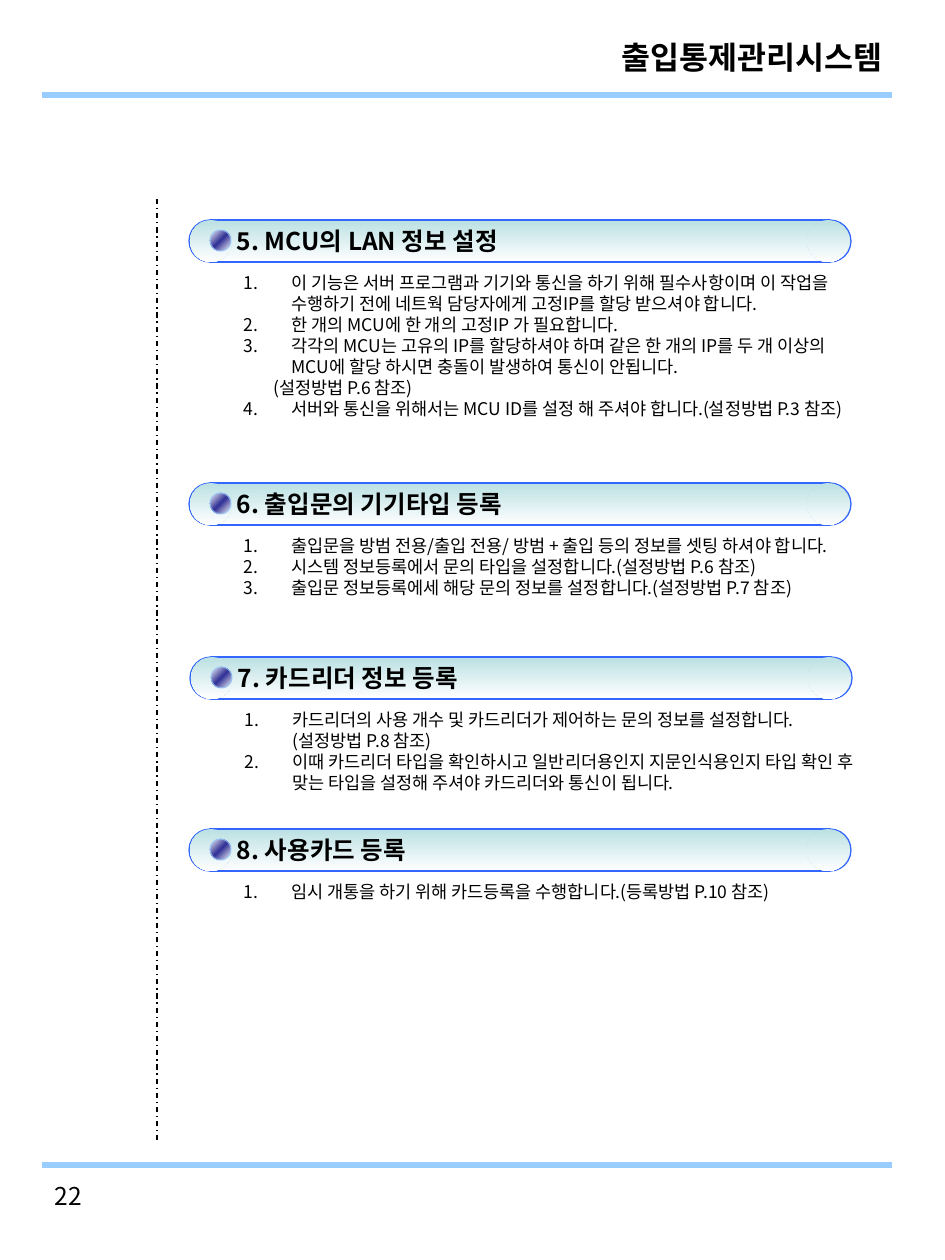
from lxml.etree import SubElement
from pptx import Presentation
from pptx.dml.color import RGBColor
from pptx.enum.dml import MSO_LINE
from pptx.enum.shapes import MSO_CONNECTOR, MSO_SHAPE
from pptx.enum.text import MSO_ANCHOR, MSO_AUTO_SIZE, PP_ALIGN
from pptx.oxml.ns import qn
from pptx.util import Pt

FONT = "Noto Sans CJK KR"
HEX = {
    "text": "000000", "rule": "99CCFF", "edge": "3366FF",
    "teal": "BBE0E3", "white": "FFFFFF", "navy": "333399",
}
INDENT = 48
NOTE = 30  # indent of a line without a number

# Each section: left, top, heading, items as (number or None, text)
PARTS = [
    (189, 220, "5. MCU의 LAN 정보 설정", [
        (1, "이 기능은 서버 프로그램과 기기와 통신을 하기 위해 필수사항이며 이 작업을 "
            "수행하기 전에 네트웍 담당자에게 고정IP를 할당 받으셔야 합니다."),
        (2, "한 개의 MCU에 한 개의 고정IP 가 필요합니다."),
        (3, "각각의 MCU는 고유의 IP를 할당하셔야 하며 같은 한 개의 IP를 두 개 "
            "이상의 MCU에 할당 하시면 충돌이 발생하여 통신이 안됩니다."),
        (None, "(설정방법 P.6 참조)"),
        (4, "서버와 통신을 위해서는 MCU ID를 설정 해 주셔야 합니다.(설정방법 P.3 참조)"),
    ]),
    (189, 483, "6. 출입문의 기기타입 등록", [
        (1, "출입문을 방범 전용/출입 전용/ 방범 + 출입 등의 정보를 셋팅 하셔야 합니다."),
        (2, "시스템 정보등록에서 문의 타입을 설정합니다.(설정방법 P.6 참조)"),
        (3, "출입문 정보등록에세 해당 문의 정보를 설정합니다.(설정방법 P.7 참조)"),
    ]),
    (190, 657, "7. 카드리더 정보 등록", [
        (1, "카드리더의 사용 개수 및 카드리더가 제어하는 문의 정보를 설정합니다."
            "(설정방법 P.8 참조)"),
        (2, "이때 카드리더 타입을 확인하시고 일반리더용인지 지문인식용인지 타입 확인 후 "
            "맞는 타입을 설정해 주셔야 카드리더와 통신이 됩니다."),
    ]),
    (189, 829, "8. 사용카드 등록", [
        (1, "임시 개통을 하기 위해 카드등록을 수행합니다.(등록방법 P.10 참조)"),
    ]),
]


def px(n):
    return round(n * 914400 / 126)


def color(name):
    return RGBColor.from_string(HEX[name])


def style(para, size, bold=False, align=PP_ALIGN.LEFT):
    font = para.font
    font.name, font.size, font.bold = FONT, Pt(size), bold
    font.color.rgb = color("text")
    SubElement(para._p.pPr.find(qn("a:defRPr")), qn("a:ea"), typeface=FONT)
    para.alignment = align
    para.space_before = Pt(0)


def place(shape, x, y, w, h):
    shape.left, shape.top, shape.width, shape.height = map(px, (x, y, w, h))


def rule(slide, x1, y1, x2, y2, name, width, dash=None):
    line = slide.shapes.add_connector(
        MSO_CONNECTOR.STRAIGHT, px(x1), px(y1), px(x2), px(y2))
    line.line.color.rgb = color(name)
    line.line.width = Pt(width)
    if dash:
        line.line.dash_style = dash
    SubElement(line._element.spPr, qn("a:effectLst"))


def blend(shape, names, angle):
    """Fill with evenly spaced gradient stops."""
    shape.fill.gradient()
    shape.fill.gradient_angle = angle
    stops = shape._element.spPr.find(".//" + qn("a:gsLst"))
    stops.clear()
    for i, name in enumerate(names):
        stop = SubElement(stops, qn("a:gs"), pos=str(100000 * i // (len(names) - 1)))
        SubElement(stop, qn("a:srgbClr"), val=HEX[name])


def piece(group, kind, box, names, angle, edge=None):
    shape = group.shapes.add_shape(kind, *map(px, box))
    shape.shadow.inherit = False
    blend(shape, names, angle)
    if edge:
        shape.line.color.rgb = color(edge)
        shape.line.width = Pt(0.75)
    else:
        shape.line.fill.background()
    return shape


def banner(slide, x, y, w, h, text):
    group = slide.shapes.add_group_shape()
    fade = ("teal", "white"), 270
    oval, half = MSO_SHAPE.OVAL, h // 2
    for left in (x, x + w - h):
        piece(group, oval, (left, y, h, h), *fade, "edge")
    bar = piece(group, MSO_SHAPE.RECTANGLE, (x + half, y, w - 2 * half, h),
                *fade, "edge")
    # Borderless caps hide the ends of the bar's outline
    for left in (x + w - h - 2, x + 1):
        piece(group, oval, (left, y, h, h), *fade)
    ball = piece(group, oval, (x + half, y + h // 4, half, half),
                 ("white", "navy", "white"), 135, "rule")
    tint = ball._element.spPr.find(qn("a:ln")).find(".//" + qn("a:srgbClr"))
    SubElement(tint, qn("a:alpha"), val="70000")
    frame = bar.text_frame
    frame.margin_left = px(27)
    frame.vertical_anchor = MSO_ANCHOR.MIDDLE
    frame.text = text
    style(frame.paragraphs[0], 14, True)


def steps(holder, x, y, w, h, items):
    place(holder, x, y, w, h)
    frame = holder.text_frame
    frame.auto_size = MSO_AUTO_SIZE.SHAPE_TO_FIT_TEXT
    frame.vertical_anchor = MSO_ANCHOR.TOP
    frame.text = "\n".join(text for _, text in items)
    first = True
    for para, (num, _) in zip(frame.paragraphs, items):
        style(para, 10)
        props = para._p.pPr
        props.set("marL", str(px(INDENT if num else NOTE)))
        props.set("indent", str(px(-INDENT if num else 0)))
        mark = props.makeelement(qn("a:buAutoNum" if num else "a:buNone"), {})
        if num:
            mark.set("type", "arabicPeriod")
            if num > 1 and first:
                mark.set("startAt", str(num))
        first = num is None
        props.find(qn("a:defRPr")).addprevious(mark)


def section(slide, holder, x, y, text, items):
    banner(slide, x, y, 662, 42, text)
    steps(holder, x + 42, y + 46, 639, 38, items)


def header(slide, x, y, w):
    title = slide.shapes.title
    place(title, x + w - 367, y, 370, 50)
    frame = title.text_frame
    frame.auto_size = MSO_AUTO_SIZE.NONE
    frame.vertical_anchor = MSO_ANCHOR.TOP
    frame.text = "출입통제관리시스템"
    style(frame.paragraphs[0], 18, True, PP_ALIGN.RIGHT)
    rule(slide, x, y + 63, x + w, y + 63, "rule", 3)


def footer(slide, x, y, w):
    rule(slide, x, y, x + w, y, "rule", 3)
    box = slide.shapes.add_textbox(px(x), px(y + 10), px(220), px(53))
    box.text_frame.word_wrap = True
    box.text_frame.text = "22"
    style(box.text_frame.paragraphs[0], 14)


def main():
    deck = Presentation()
    deck.slide_width, deck.slide_height = px(945), px(1260)
    slide = deck.slides.add_slide(deck.slide_layouts.get_by_name("Comparison"))
    header(slide, 42, 32, 850)
    rule(slide, 157, 199, 157, 1144, "text", 0.75, MSO_LINE.DASH_DOT)
    title, *lists = slide.placeholders
    for holder, part in zip(lists, PARTS):
        section(slide, holder, *part)
    footer(slide, 42, 1165, 850)
    deck.save("out.pptx")


if __name__ == "__main__":
    main()
